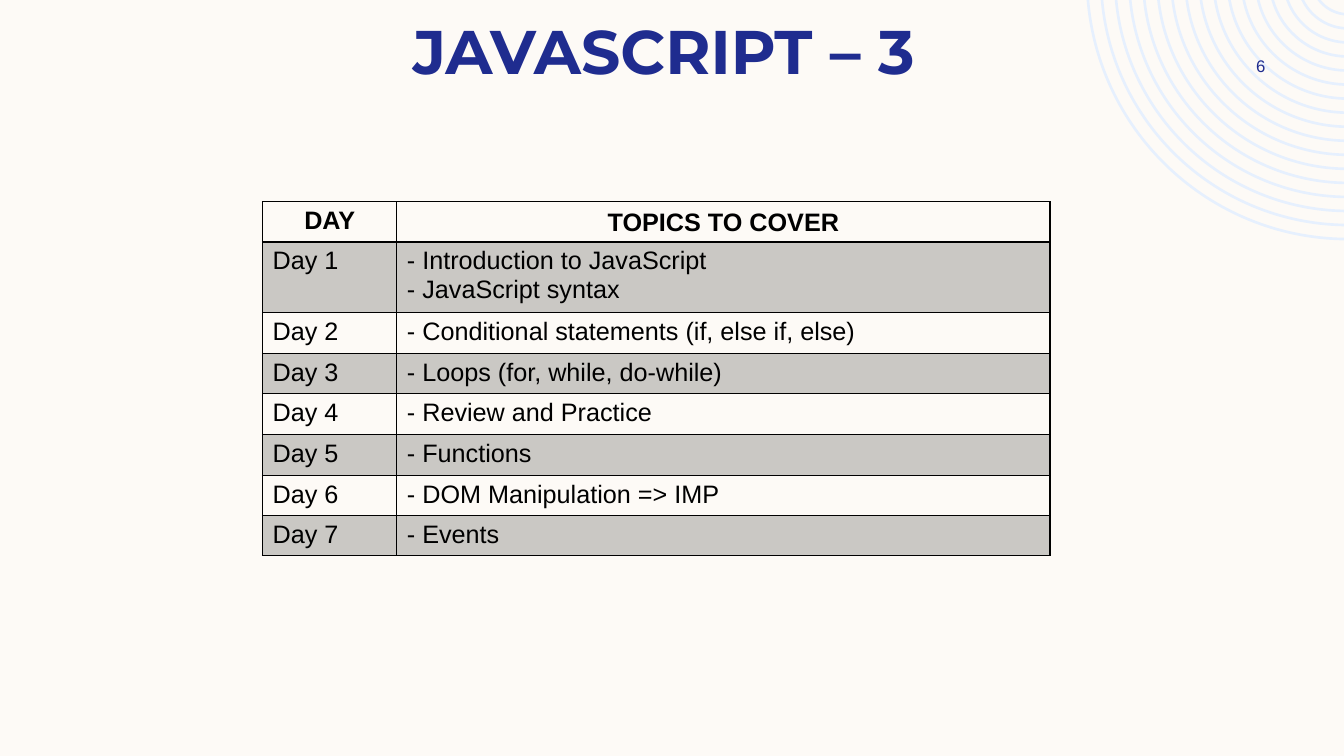
from dataclasses import dataclass
from math import acos, asin, cos, pi, sin, tan

from lxml import etree
from pptx import Presentation
from pptx.dml.color import RGBColor
from pptx.enum.text import MSO_ANCHOR, PP_ALIGN
from pptx.oxml.ns import qn
from pptx.util import Emu, Pt

PX = 9525  # 96 px to the inch
PAGE_WIDTH, PAGE_HEIGHT = 1280, 720
TOP, MIDDLE, BOTTOM = MSO_ANCHOR.TOP, MSO_ANCHOR.MIDDLE, MSO_ANCHOR.BOTTOM
LEFT, CENTER = PP_ALIGN.LEFT, PP_ALIGN.CENTER

CREAM, NAVY, PALE_BLUE, BLACK = "FDFAF6", "1F2C8F", "E6F0FE", "000000"
SHADE_OPACITY = 20

# Rings around a centre just beyond the top right corner
RING_X, RING_Y = 1284, -21
RING_COUNT, RING_MIN, RING_MAX = 17, 36, 250
RING_THICKNESS = 2.5

TABLE_LEFT, TABLE_TOP = 250, 192
COLUMN_WIDTHS = (128, 622)


@dataclass
class Style:
    size: int
    color: str
    font: str = "Arial"
    bold: bool = False
    align: PP_ALIGN = LEFT
    anchor: MSO_ANCHOR = TOP


@dataclass
class Label:
    text: str
    left: int
    top: int
    width: int
    height: int
    style: Style
    right_margin: int = 10


@dataclass
class Day:
    topics: list[str]
    height: int = 38


LABELS = [
    Label("JAVASCRIPT – 3", 81, 8, 1120, 81,
          Style(44, NAVY, "Montserrat", True, CENTER), right_margin=27),
    Label("6", 1149, 48, 104, 29, Style(12, NAVY, align=CENTER, anchor=MIDDLE)),
]
DAYS = [
    Day(["Introduction to JavaScript", "JavaScript syntax"], 51),
    Day(["Conditional statements (if, else if, else)"], 39),
    Day(["Loops (for, while, do-while)"]),
    Day(["Review and Practice"], 39),
    Day(["Functions"]),
    Day(["DOM Manipulation => IMP"]),
    Day(["Events"]),
]
DAY_HEADER = Style(18, BLACK, bold=True, align=CENTER)
TOPIC_HEADER = Style(18, BLACK, bold=True, align=CENTER, anchor=BOTTOM)
BODY = Style(18, BLACK)


def emu(px: float) -> Emu:
    return Emu(round(px * PX))


def color(value: str) -> RGBColor:
    return RGBColor.from_string(value)


def write(frame, lines: list[str], style: Style) -> None:
    for index, line in enumerate(lines):
        para = frame.add_paragraph() if index else frame.paragraphs[0]
        para.alignment = style.align
        span = para.add_run()
        span.text = line
        span.font.name = style.font
        span.font.size = Pt(style.size)
        span.font.bold = style.bold
        span.font.color.rgb = color(style.color)


def add_label(page, label: Label) -> None:
    box = page.shapes.add_textbox(emu(label.left), emu(label.top),
                                  emu(label.width), emu(label.height))
    frame = box.text_frame
    frame.word_wrap = True
    frame.vertical_anchor = label.style.anchor
    frame.margin_right = emu(label.right_margin)
    write(frame, [label.text], label.style)


def arc(radius: float) -> list[tuple[Emu, Emu]]:
    """Bezier points from the top edge of the page round to its right edge."""
    start = pi - asin(-RING_Y / radius)
    end = acos((PAGE_WIDTH - RING_X) / radius)
    reach = 4 / 3 * tan((end - start) / 4)
    spots = [(start, 0), (start, reach), (end, -reach), (end, 0)]
    return [(emu(RING_X + radius * (cos(angle) - pull * sin(angle))),
             emu(RING_Y + radius * (sin(angle) + pull * cos(angle))))
            for angle, pull in spots]


def bend(segments: list) -> None:
    """Turn three straight segments into one cubic curve."""
    curve = etree.Element(qn("a:cubicBezTo"))
    segments[0].addprevious(curve)
    for segment in segments:
        curve.append(segment[0])
        segment.getparent().remove(segment)


def add_rings(page) -> None:
    builder = None
    spacing = (RING_MAX - RING_MIN) / (RING_COUNT - 1)
    for index in range(RING_COUNT):
        radius = RING_MIN + index * spacing
        first, *rest = arc(radius) + arc(radius - RING_THICKNESS)[::-1]
        if builder is None:
            builder = page.shapes.build_freeform(*first)
        else:
            builder.move_to(*first)
        builder.add_line_segments(rest, close=True)
    rings = builder.convert_to_shape()
    rings.shadow.inherit = False
    rings.fill.solid()
    rings.fill.fore_color.rgb = color(PALE_BLUE)
    rings.line.fill.background()

    # Each ring has seven segments: outer arc, right edge, inner arc
    segments = list(rings._element.iter(qn("a:lnTo")))
    for first in range(0, len(segments), 7):
        bend(segments[first:first + 3])
        bend(segments[first + 4:first + 7])


def set_borders(cell, top: int = 1, bottom: int = 1) -> None:
    properties = cell._tc.get_or_add_tcPr()
    widths = {"lnL": 1, "lnR": 1, "lnT": top, "lnB": bottom}
    for index, (side, width) in enumerate(widths.items()):
        line = etree.Element(qn(f"a:{side}"), w=str(Pt(width)))
        fill = etree.SubElement(line, qn("a:solidFill"))
        etree.SubElement(fill, qn("a:srgbClr"), val=BLACK)
        properties.insert(index, line)


def fill_cell(cell, lines: list[str], style: Style, shaded: bool = False) -> None:
    cell.vertical_anchor = style.anchor
    write(cell.text_frame, lines, style)
    if shaded:
        cell.fill.solid()
        cell.fill.fore_color.rgb = color(BLACK)
        tint = cell._tc.tcPr.find(f".//{qn('a:srgbClr')}")
        etree.SubElement(tint, qn("a:alpha"), val=str(SHADE_OPACITY * 1000))
    else:
        cell.fill.background()


def add_schedule(page) -> None:
    heights = [38] + [day.height for day in DAYS]
    table = page.shapes.add_table(
        len(heights), len(COLUMN_WIDTHS), emu(TABLE_LEFT), emu(TABLE_TOP),
        emu(sum(COLUMN_WIDTHS)), emu(sum(heights))).table
    table.first_row = table.horz_banding = False
    for column, width in zip(table.columns, COLUMN_WIDTHS):
        column.width = emu(width)
    for row, height in zip(table.rows, heights):
        row.height = emu(height)

    # Header row, with a heavier rule under the topics
    fill_cell(table.cell(0, 0), ["DAY"], DAY_HEADER)
    fill_cell(table.cell(0, 1), ["TOPICS TO COVER"], TOPIC_HEADER)
    set_borders(table.cell(0, 0))
    set_borders(table.cell(0, 1), bottom=2)

    # One row a day, odd days shaded
    for number, day in enumerate(DAYS, start=1):
        shaded = number % 2 == 1
        name, topics = table.cell(number, 0), table.cell(number, 1)
        fill_cell(name, [f"Day {number}"], BODY, shaded)
        fill_cell(topics, [f"- {topic}" for topic in day.topics], BODY, shaded)
        set_borders(name)
        set_borders(topics, top=2 if number == 1 else 1)


def main() -> None:
    deck = Presentation()
    deck.slide_width, deck.slide_height = emu(PAGE_WIDTH), emu(PAGE_HEIGHT)
    page = deck.slides.add_slide(deck.slide_layouts[6])
    page.background.fill.solid()
    page.background.fill.fore_color.rgb = color(CREAM)
    add_rings(page)
    for label in LABELS:
        add_label(page, label)
    add_schedule(page)
    deck.save("out.pptx")


if __name__ == "__main__":
    main()
